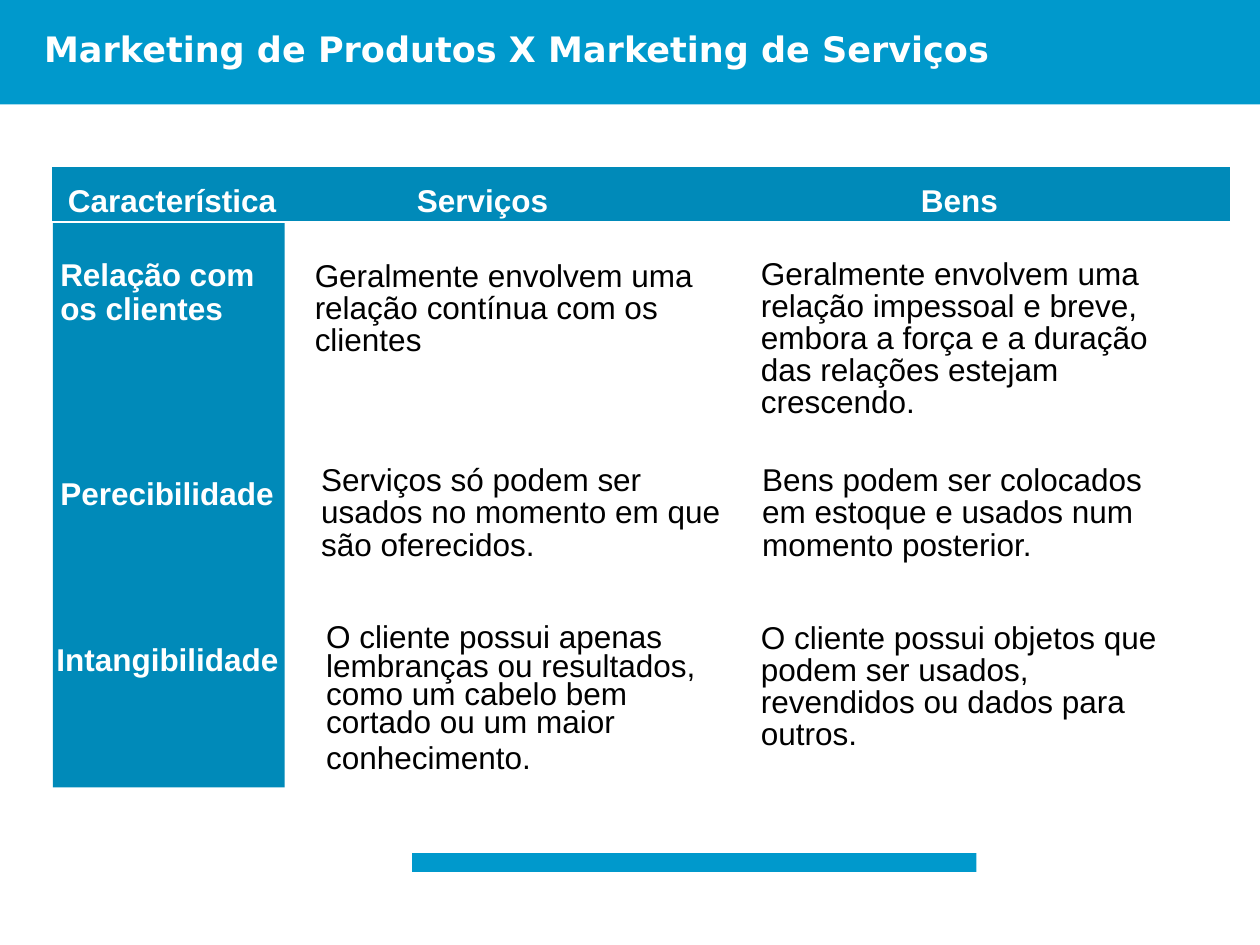
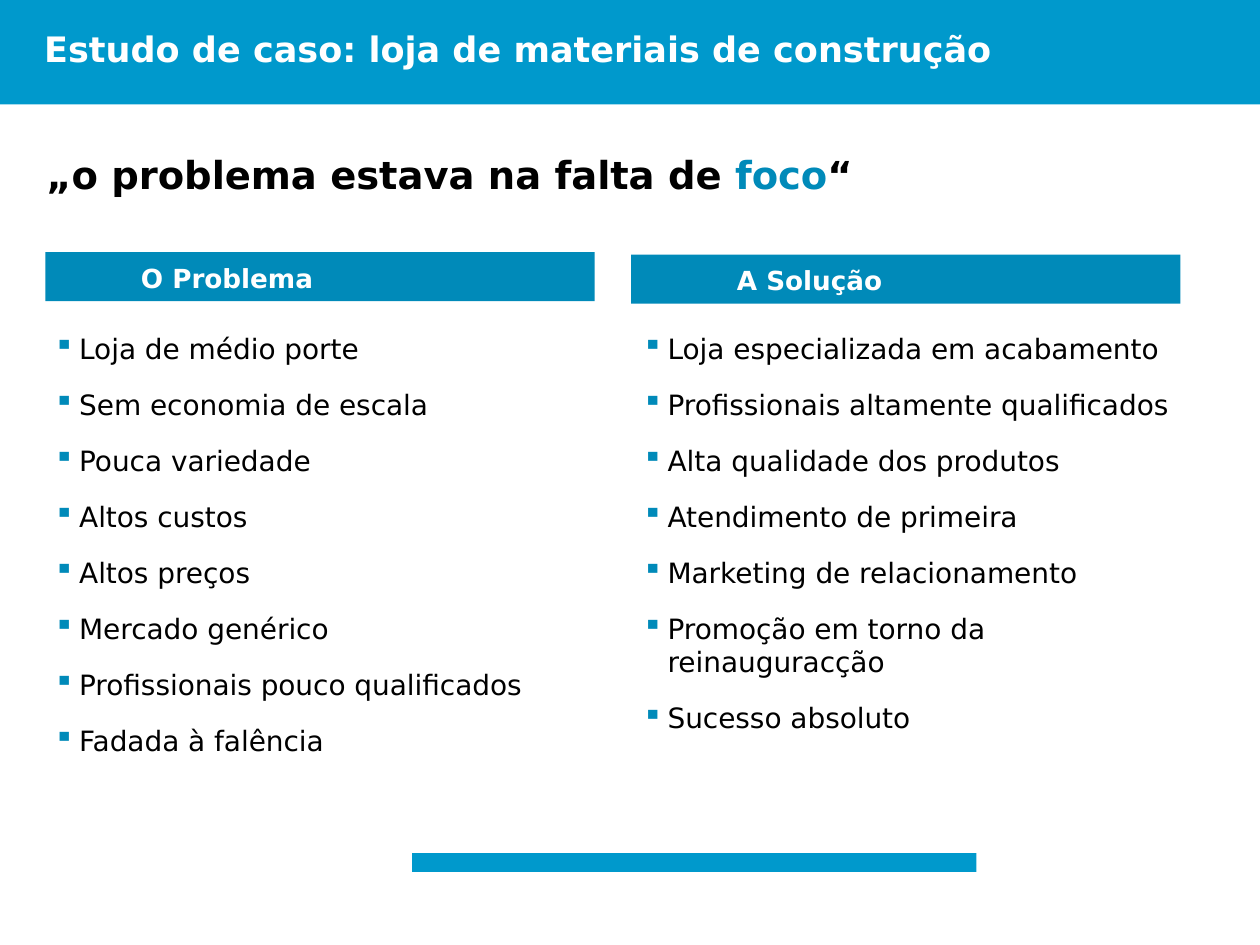
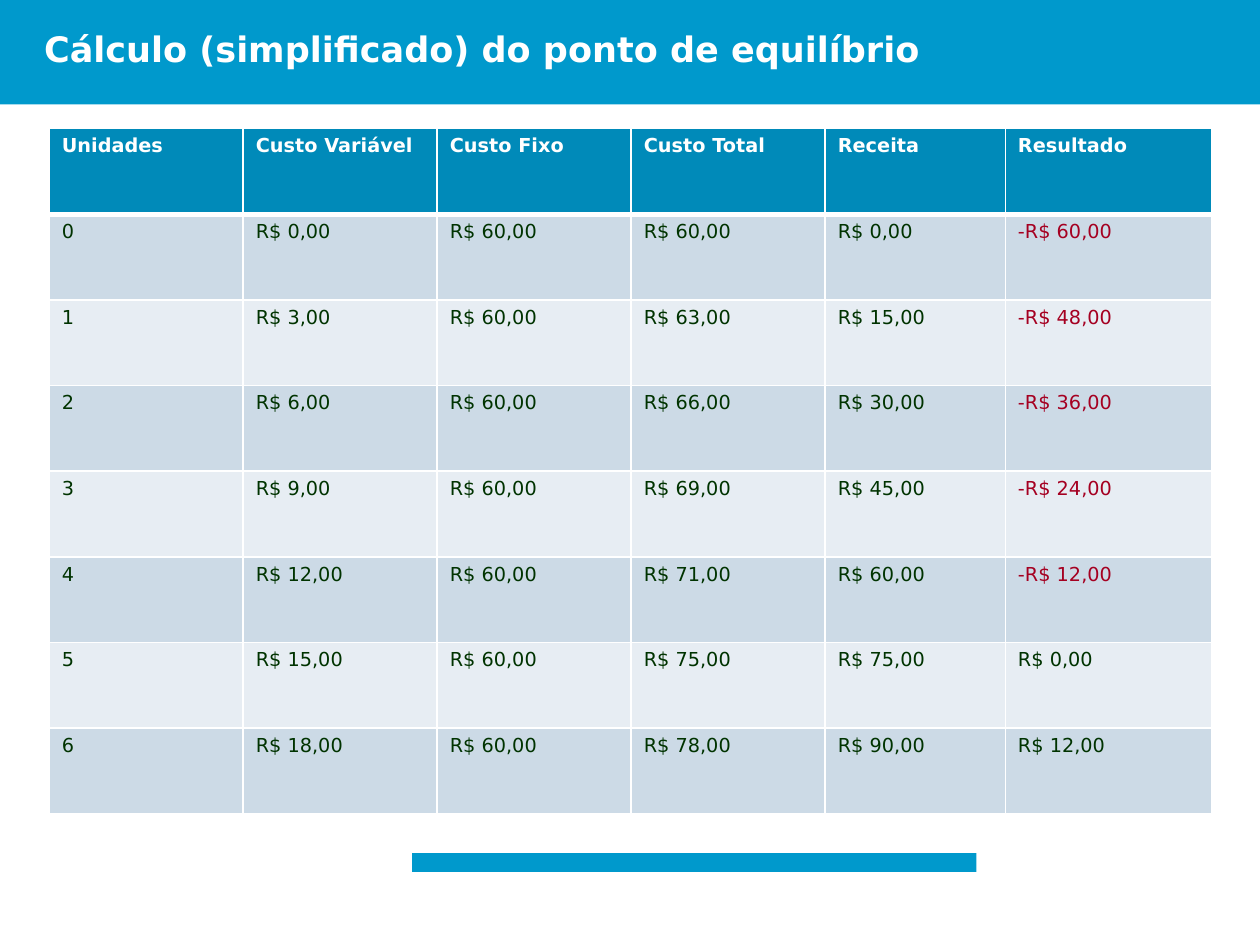
from dataclasses import dataclass

from lxml import etree
from pptx import Presentation
from pptx.dml.color import RGBColor
from pptx.enum.shapes import MSO_SHAPE
from pptx.enum.text import MSO_ANCHOR, MSO_AUTO_SIZE, PP_ALIGN
from pptx.oxml.ns import qn
from pptx.util import Inches, Pt

RECTANGLE = MSO_SHAPE.RECTANGLE
TOP, MIDDLE = MSO_ANCHOR.TOP, MSO_ANCHOR.MIDDLE
LEFT = PP_ALIGN.LEFT
NO_AUTOFIT = MSO_AUTO_SIZE.NONE

# Shared look
BAND, ACCENT, WHITE, BLACK = "0099CC", "008AB9", "FFFFFF", "000000"
DARK_GREEN, RED = "003300", "A50021"
ROW_FILLS = ("CCDAE6", "E7EDF3")
SANS, ARIAL = "DejaVu Sans", "Arial"
TITLE_ONLY = 5


@dataclass
class Label:
    text: str
    left: float
    top: float
    width: float
    height: float
    line_spacing: float = 1.0
    bold: bool = False
    color: str = BLACK
    tail: str = ""


@dataclass
class Panel:
    heading: str
    left: float
    top: float
    heading_left: float
    list_left: float
    list_width: float
    items: tuple[str, ...]


def rgb(color: str) -> RGBColor:
    return RGBColor.from_string(color)


def add_span(para, text: str, *, size: float, color: str, font: str = SANS,
             bold: bool = False) -> None:
    span = para.add_run()
    span.text = text
    span.font.name = font
    span.font.size = Pt(size)
    span.font.bold = bold
    span.font.color.rgb = rgb(color)


def add_box(page, left: float, top: float, width: float, height: float, *,
            anchor=TOP):
    box = page.shapes.add_textbox(Inches(left), Inches(top), Inches(width), Inches(height))
    frame = box.text_frame
    frame.word_wrap = True
    frame.vertical_anchor = anchor
    return frame


def add_bar(page, left: float, top: float, width: float, height: float, *,
            fill: str, line: str | None = None) -> None:
    bar = page.shapes.add_shape(RECTANGLE, Inches(left), Inches(top),
                                Inches(width), Inches(height))
    bar.shadow.inherit = False
    bar.fill.solid()
    bar.fill.fore_color.rgb = rgb(fill)
    if line:
        bar.line.color.rgb = rgb(line)
        bar.line.width = Pt(1)
    else:
        bar.line.fill.background()


def add_page(deck, title: str):
    """Add a page with the top band, the footer bar and its title."""
    page = deck.slides.add_slide(deck.slide_layouts[TITLE_ONLY])
    add_bar(page, 0, 0, 10, 0.83, fill=BAND)
    add_bar(page, 3.27, 6.77, 4.48, 0.15, fill=BAND)

    box = page.shapes.title
    box.left, box.top = Inches(0.25), Inches(0.17)
    box.width, box.height = Inches(9.33), Inches(0.42)
    frame = box.text_frame
    frame.auto_size = NO_AUTOFIT
    frame.vertical_anchor = TOP
    para = frame.paragraphs[0]
    para.alignment = LEFT
    add_span(para, title, size=20, color=WHITE, bold=True)
    box.element.getparent().append(box.element)  # bring above the band
    return page


def add_label(page, label: Label) -> None:
    frame = add_box(page, label.left, label.top, label.width, label.height)
    para = frame.paragraphs[0]
    para.line_spacing = label.line_spacing
    add_span(para, label.text, size=18, color=label.color, font=ARIAL, bold=label.bold)
    if label.tail:
        add_span(para, label.tail, size=24, color=label.color, font=ARIAL)


def set_bullet(para, char: str, color: str, indent: float) -> None:
    properties = para._p.get_or_add_pPr()
    properties.set("marL", str(Inches(indent)))
    properties.set("indent", str(-Inches(indent)))
    bullet_color = etree.SubElement(properties, qn("a:buClr"))
    etree.SubElement(bullet_color, qn("a:srgbClr"), val=color)
    etree.SubElement(properties, qn("a:buChar"), char=char)


def add_panel(page, panel: Panel) -> None:
    add_bar(page, panel.left, panel.top, 4.36, 0.39, fill=ACCENT)
    frame = add_box(page, panel.heading_left, panel.top - 0.02, 2.76, 0.39, anchor=MIDDLE)
    para = frame.paragraphs[0]
    para.line_spacing = 1.25
    add_span(para, panel.heading, size=15, color=WHITE, bold=True)

    frame = add_box(page, panel.list_left, 2.58, panel.list_width, 3.72)
    for index, item in enumerate(panel.items):
        para = frame.add_paragraph() if index else frame.paragraphs[0]
        para.space_before, para.space_after = Pt(3.2), Pt(9.6)
        set_bullet(para, "▪", ACCENT, 0.2)
        add_span(para, item, size=16, color=BLACK)


def set_borders(cell, **widths: float) -> None:
    """Draw white cell borders; sides are given in schema order."""
    properties = cell._tc.get_or_add_tcPr()
    for index, (side, width) in enumerate(widths.items()):
        line = etree.Element(qn(f"a:{side}"), w=str(Pt(width)))
        fill = etree.SubElement(line, qn("a:solidFill"))
        etree.SubElement(fill, qn("a:srgbClr"), val=WHITE)
        properties.insert(index, line)


def money(value: int) -> str:
    return f"{'-' if value < 0 else ''}R$ {abs(value)},00"


def add_grid(page, headers: tuple[str, ...], rows: tuple[tuple[int, ...], ...],
             widths: tuple[float, ...]) -> None:
    row_height = 0.68
    count = len(rows) + 1
    table = page.shapes.add_table(count, len(headers), Inches(0.39), Inches(1.02),
                                  Inches(sum(widths)), Inches(row_height * count)).table
    for column, width in zip(table.columns, widths):
        column.width = Inches(width)
    lines = [headers] + [(str(units), *map(money, values)) for units, *values in rows]
    for row_index, texts in enumerate(lines):
        table.rows[row_index].height = Inches(row_height)
        header = row_index == 0
        for column_index, text in enumerate(texts):
            cell = table.cell(row_index, column_index)
            cell.fill.solid()
            cell.fill.fore_color.rgb = rgb(ACCENT if header else ROW_FILLS[(row_index - 1) % 2])
            set_borders(cell, lnL=1, lnR=1, lnT=3 if row_index == 1 else 1,
                        lnB=3 if header else 1)
            color = WHITE if header else RED if text.startswith("-") else DARK_GREEN
            add_span(cell.text_frame.paragraphs[0], text, size=11, color=color, bold=header)


deck = Presentation()
deck.slide_width, deck.slide_height = Inches(10), Inches(7.5)

# Goods and services compared
page = add_page(deck, "Marketing de Produtos X Marketing de Serviços")
add_bar(page, 0.42, 1.64, 1.84, 4.61, fill=ACCENT)
add_bar(page, 0.41, 1.32, 9.36, 0.44, fill=ACCENT, line=WHITE)

HEADINGS = (
    Label("Característica", 0.44, 1.39, 2.36, 0.4),
    Label("Serviços", 3.21, 1.39, 1.48, 0.4),
    Label("Bens", 7.21, 1.39, 1.48, 0.4),
    Label("Relação com os clientes", 0.38, 2.01, 2.02, 0.64, 0.9),
    Label("Perecibilidade", 0.38, 3.71, 2.48, 0.4),
    Label("Intangibilidade", 0.35, 5.03, 2.36, 0.4),
)
for heading in HEADINGS:
    heading.bold, heading.color = True, WHITE
    add_label(page, heading)

DESCRIPTIONS = (
    Label("Geralmente envolvem uma relação contínua com os clientes",
          2.4, 2.03, 3.37, 0.86, 0.85),
    Label("Geralmente envolvem uma relação impessoal e breve, embora a força e a "
          "duração das relações estejam crescendo.", 5.94, 2.01, 3.55, 1.37, 0.85),
    Label("Serviços só podem ser usados no momento em que são oferecidos.",
          2.45, 3.65, 3.48, 0.86, 0.85),
    Label("Bens podem ser colocados em estoque e usados num momento posterior.",
          5.95, 3.65, 3.61, 0.86, 0.85),
    Label("O cliente possui apenas lembranças ou resultados, como um cabelo bem "
          "cortado ou um maior conhecimento.", 2.49, 4.92, 3.45, 1.75, 0.75, tail="\t"),
    Label("O cliente possui objetos que podem ser usados, revendidos ou dados para "
          "outros.", 5.94, 4.9, 3.48, 1.12, 0.85),
)
for description in DESCRIPTIONS:
    add_label(page, description)

# Case study
page = add_page(deck, "Estudo de caso: loja de materiais de construção")
quote = add_box(page, 0.27, 1.15, 9.45, 0.94).paragraphs[0]
for text, color in (("„o problema estava na falta de ", BLACK), ("foco", ACCENT), ("“", BLACK)):
    add_span(quote, text, size=22, color=color, bold=True)

PANELS = (
    Panel("O Problema", 0.36, 2, 1.02, 0.33, 4.39, (
        "Loja de médio porte", "Sem economia de escala", "Pouca variedade",
        "Altos custos", "Altos preços", "Mercado genérico",
        "Profissionais pouco qualificados", "Fadada à falência")),
    Panel("A Solução", 5.01, 2.02, 5.75, 5, 4.55, (
        "Loja especializada em acabamento", "Profissionais altamente qualificados",
        "Alta qualidade dos produtos", "Atendimento de primeira",
        "Marketing de relacionamento", "Promoção em torno da reinauguracção",
        "Sucesso absoluto")),
)
for panel in PANELS:
    add_panel(page, panel)

# Break-even table
page = add_page(deck, "Cálculo (simplificado) do ponto de equilíbrio")
add_grid(
    page,
    ("Unidades", "Custo Variável", "Custo Fixo", "Custo Total", "Receita", "Resultado"),
    (
        (0, 0, 60, 60, 0, -60),
        (1, 3, 60, 63, 15, -48),
        (2, 6, 60, 66, 30, -36),
        (3, 9, 60, 69, 45, -24),
        (4, 12, 60, 71, 60, -12),
        (5, 15, 60, 75, 75, 0),
        (6, 18, 60, 78, 90, 12),
    ),
    (1.54, 1.54, 1.54, 1.54, 1.43, 1.64),
)

deck.save("out.pptx")
